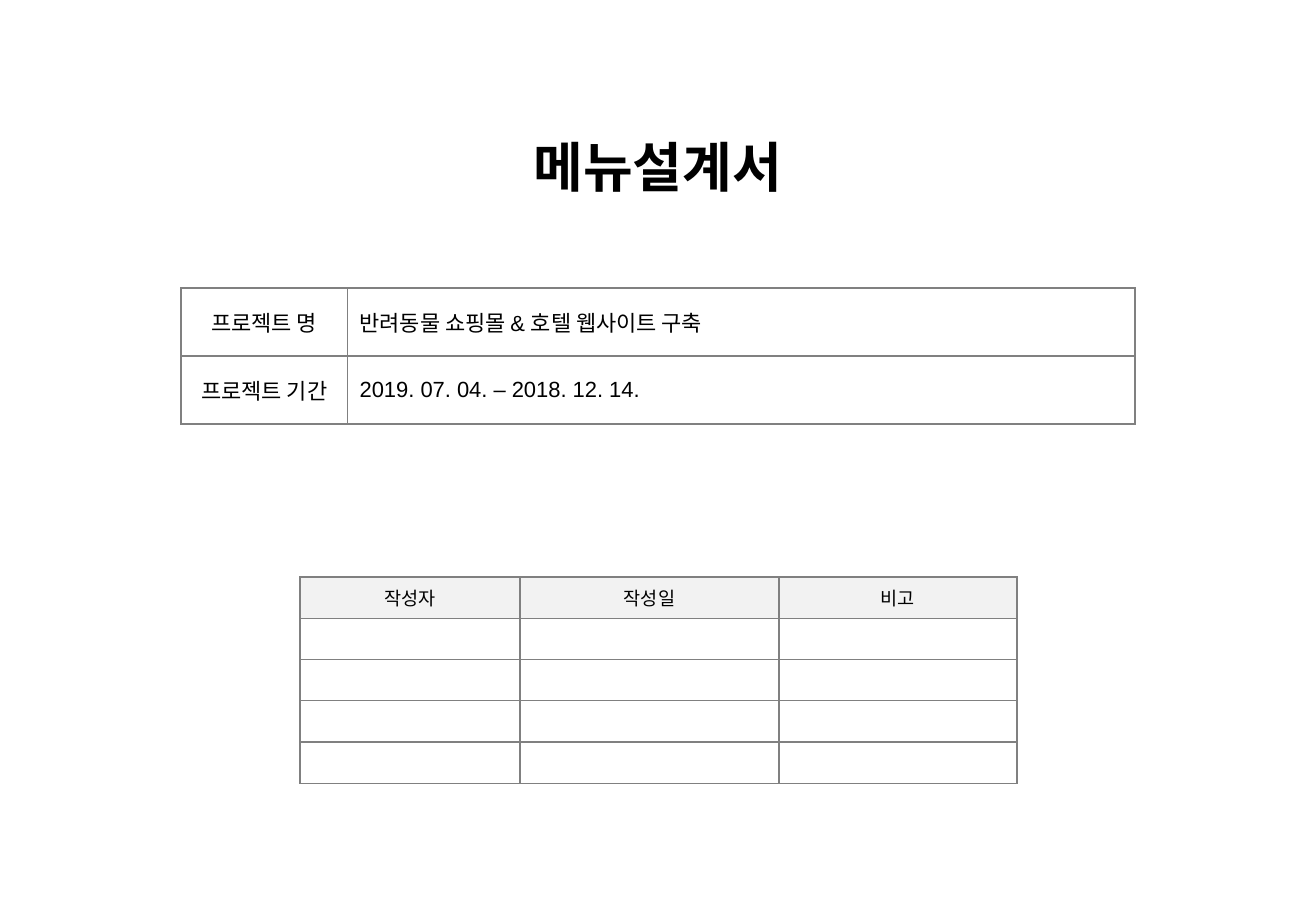
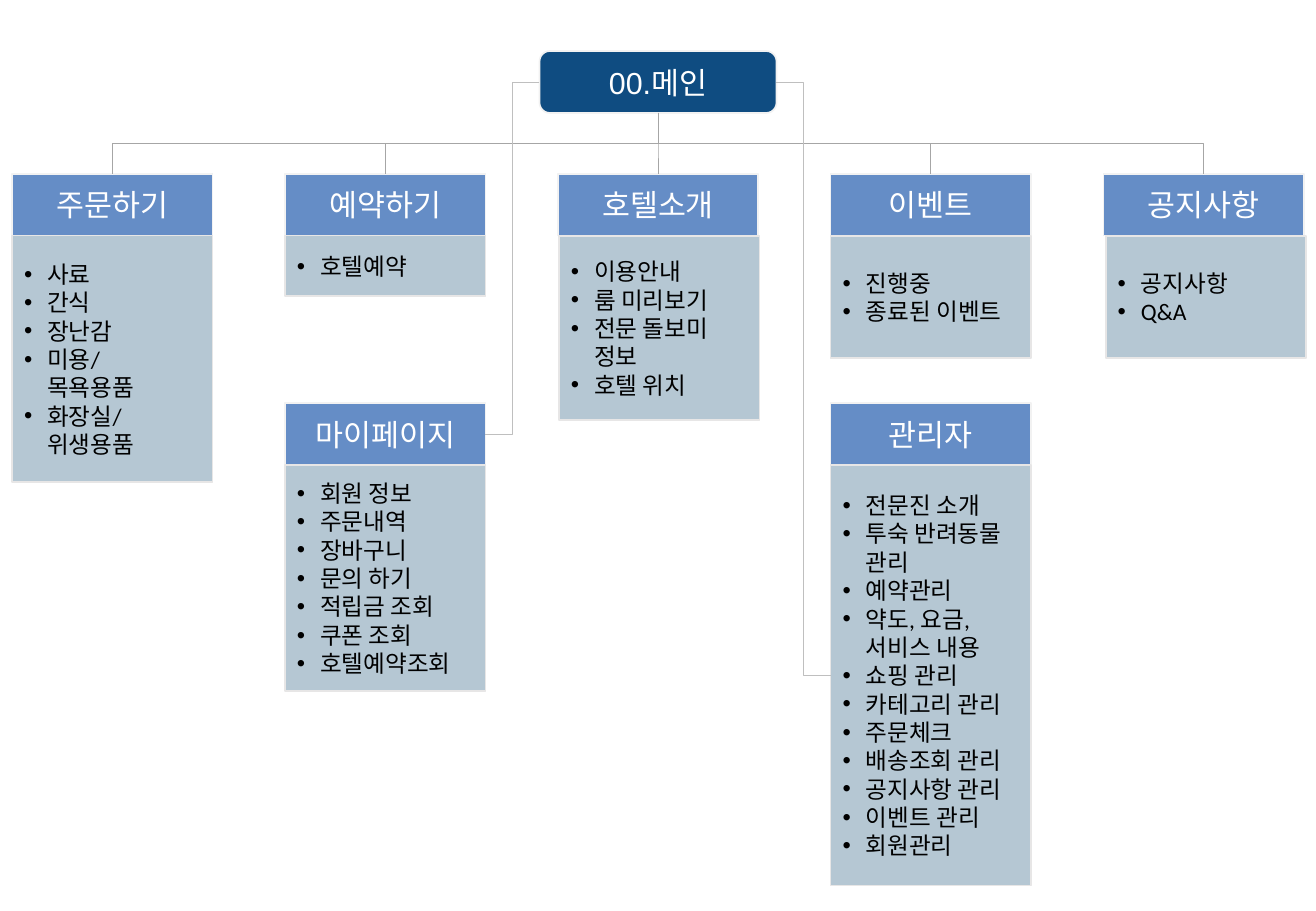
"""Builds a menu design document: a cover with two tables and a site map."""
from dataclasses import dataclass

from lxml.etree import SubElement
from pptx import Presentation
from pptx.dml.color import RGBColor
from pptx.enum.shapes import MSO_CONNECTOR, MSO_SHAPE
from pptx.enum.text import MSO_ANCHOR, MSO_AUTO_SIZE, PP_ALIGN
from pptx.oxml.ns import qn
from pptx.util import Inches, Pt

TITLE = "메뉴설계서"
PROJECT = [
    ["프로젝트 명", "반려동물 쇼핑몰 & 호텔 웹사이트 구축"],
    ["프로젝트 기간", "2019. 07. 04. – 2018. 12. 14."],
]
AUTHORS = [["작성자", "작성일", "비고"]] + [[""] * 3 for _ in range(4)]
ROOT = "00.메인"
MENUS = [
    ("주문하기", 2.03, 0, ["사료", "간식", "장난감", "미용/\n목욕용품", "화장실/\n위생용품"]),
    ("예약하기", 0.5, 0, ["호텔예약"]),
    ("호텔소개", 1.52, 0.01, ["이용안내", "룸 미리보기", "전문 돌보미 정보", "호텔 위치"]),
    ("이벤트", 1.01, 0, ["진행중", "종료된 이벤트"]),
    ("공지사항", 1.01, 0.02, ["공지사항", "Q&A"]),
]
MEMBER = ("마이페이지", 1.86, 0, [
    "회원 정보", "주문내역", "장바구니", "문의 하기", "적립금 조회", "쿠폰 조회", "호텔예약조회"])
ADMIN = ("관리자", 3.46, 0, [
    "전문진 소개", "투숙 반려동물 관리", "예약관리", "약도, 요금, 서비스 내용",
    "쇼핑 관리", "카테고리 관리", "주문체크", "배송조회 관리", "공지사항 관리",
    "이벤트 관리", "회원관리"])


@dataclass(frozen=True)
class Theme:
    """Colours, fonts and type sizes."""
    ink: str = "000000"
    white: str = "FFFFFF"
    navy: str = "0F4C81"
    blue: str = "658DC6"
    mist: str = "B5C7D3"
    pale: str = "F2F2F2"
    edge: str = "E7E6E6"
    grid: str = "808080"
    branch: str = "A6A6A6"
    side: str = "BFBFBF"
    sans: str = "Arial"
    body: str = "Calibri"
    title: int = 32
    head: int = 18
    item: int = 14
    info: int = 13
    note: int = 11


T = Theme()
LEFT, STEP, WIDE, HEAD = 0.1, 2.245, 1.65, 0.51
TOP, LOW = 1.43, 3.32


def rgb(code):
    """Turn a hex code into a colour."""
    return RGBColor.from_string(code)


def write(para, text, size, face, tint, bold=False):
    """Add text as runs, with line breaks between its lines."""
    for n, line in enumerate(text.split("\n")):
        if n:
            para.add_line_break()
        run = para.add_run()
        run.text = line
        font = run.font
        font.size, font.name, font.bold = Pt(size), face, bold
        font.color.rgb = rgb(tint)


def border(cell):
    """Draw a thin line on all four sides of a cell."""
    props = cell._tc.get_or_add_tcPr()
    for side in ("a:lnL", "a:lnR", "a:lnT", "a:lnB"):
        line = SubElement(props, qn(side), w=str(Pt(1)))
        fill = SubElement(line, qn("a:solidFill"))
        SubElement(fill, qn("a:srgbClr"), val=T.grid)


def grid(slide, rows, left, top, cols, high, size, header):
    """Add a bordered table, with a header row or a label column."""
    box = [Inches(v) for v in (left, top, sum(cols), high * len(rows))]
    table = slide.shapes.add_table(len(rows), len(cols), *box).table
    table.first_row = table.horz_banding = False
    for col, wide in zip(table.columns, cols):
        col.width = Inches(wide)
    for r, row in enumerate(rows):
        table.rows[r].height = Inches(high)
        for c, text in enumerate(row):
            cell = table.cell(r, c)
            border(cell)
            if header and r == 0:
                cell.fill.solid()
                cell.fill.fore_color.rgb = rgb(T.pale)
            else:
                cell.fill.background()
            cell.vertical_anchor = MSO_ANCHOR.MIDDLE
            para = cell.text_frame.paragraphs[0]
            para.alignment = PP_ALIGN.CENTER if header or c == 0 else PP_ALIGN.LEFT
            if text:
                write(para, text, size, T.sans, T.ink)
            else:
                para._p.get_or_add_endParaRPr().set("sz", str(size * 100))


def block(slide, kind, box, fill, edge):
    """Add a filled shape with a thin edge."""
    shape = slide.shapes.add_shape(kind, *[Inches(v) for v in box])
    shape.shadow.inherit = False
    shape.fill.solid()
    shape.fill.fore_color.rgb = rgb(fill)
    shape.line.color.rgb = rgb(edge)
    shape.line.width = Pt(1)
    shape.text_frame.word_wrap = True
    shape.text_frame.vertical_anchor = MSO_ANCHOR.MIDDLE
    return shape


def label(slide, kind, box, fill, text):
    """Add a block with a centred heading."""
    shape = block(slide, kind, box, fill, T.pale)
    para = shape.text_frame.paragraphs[0]
    para.alignment = PP_ALIGN.CENTER
    write(para, text, T.head, T.sans, T.white)
    return shape


def bullet(para):
    """Give a paragraph a round bullet and a hanging indent."""
    props = para._p.get_or_add_pPr()
    props.set("marL", str(Inches(0.19)))
    props.set("indent", str(-Inches(0.19)))
    SubElement(props, qn("a:buFont"), typeface=T.sans)
    SubElement(props, qn("a:buChar"), char="•")


def menu(slide, spot, top, entry):
    """Add a menu heading above its list and return both shapes."""
    name, high, nudge, items = entry
    left = LEFT + STEP * spot
    head = label(slide, MSO_SHAPE.RECTANGLE, (left, top, WIDE, HEAD), T.blue, name)
    box = (left + nudge, top + HEAD, WIDE, high)
    body = block(slide, MSO_SHAPE.RECTANGLE, box, T.mist, T.edge)
    frame = body.text_frame
    for n, item in enumerate(items):
        para = frame.add_paragraph() if n else frame.paragraphs[0]
        para.alignment = PP_ALIGN.LEFT
        bullet(para)
        write(para, item, T.item, T.body, T.ink)
    return head, body


def link(slide, start, out, end, into, tint, down=False):
    """Join two shapes by an elbow, turned upright if it runs down."""
    wire = slide.shapes.add_connector(MSO_CONNECTOR.ELBOW, 0, 0, 0, 0)
    wire.begin_connect(start, out)
    wire.end_connect(end, into)
    wire.line.color.rgb = rgb(tint)
    wire.line.width = Pt(0.5)
    SubElement(wire._element.spPr, qn("a:effectLst"))
    if down:
        right = wire.end_x > wire.begin_x
        wide, high = wire.width, wire.height
        wire.left += (wide - high) // 2
        wire.top += (high - wide) // 2
        wire.width, wire.height = high, wide
        wire.rotation = 270 if right else 90
        wire._element.spPr.find(qn("a:xfrm")).set("flipH", str(int(right)))


def cover(deck):
    """Build the cover with the project and author tables."""
    slide = deck.slides.add_slide(deck.slide_layouts[5])
    title = slide.shapes.title
    title.left, title.top = Inches(0.98), Inches(1.05)
    title.width, title.height = Inches(8.87), Inches(0.64)
    frame = title.text_frame
    frame.auto_size = MSO_AUTO_SIZE.SHAPE_TO_FIT_TEXT
    para = frame.paragraphs[0]
    para.alignment = PP_ALIGN.CENTER
    write(para, TITLE, T.title, T.body, T.ink, True)
    grid(slide, AUTHORS, 2.47, 4.75, (1.81, 2.13, 1.96), 0.34, T.note, True)
    grid(slide, PROJECT, 1.49, 2.37, (1.37, 6.48), 0.56, T.info, False)


def sitemap(deck):
    """Build the site map under the main page."""
    slide = deck.slides.add_slide(deck.slide_layouts[6])
    box = (4.44, 0.42, 1.95, HEAD)
    root = label(slide, MSO_SHAPE.ROUNDED_RECTANGLE, box, T.navy, ROOT)
    for spot, entry in enumerate(MENUS):
        head, _ = menu(slide, spot, TOP, entry)
        link(slide, root, 2, head, 0, T.branch, True)
    head, _ = menu(slide, 1, LOW, MEMBER)
    link(slide, root, 1, head, 3, T.side)
    _, body = menu(slide, 3, LOW, ADMIN)
    link(slide, root, 3, body, 1, T.side)


def main():
    """Build and save the deck."""
    deck = Presentation()
    deck.slide_width, deck.slide_height = Inches(10.83), Inches(7.5)
    cover(deck)
    sitemap(deck)
    deck.save("out.pptx")


main()
